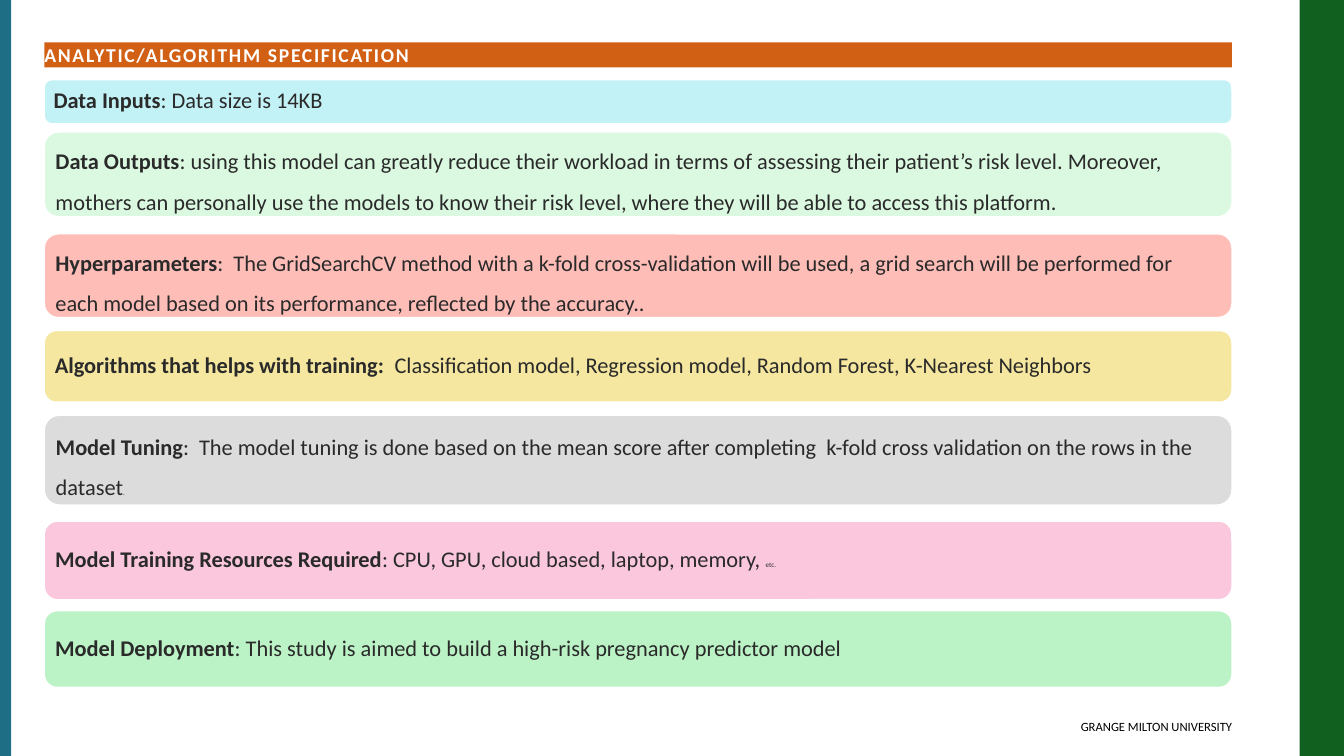
from pptx import Presentation
from pptx.dml.color import RGBColor
from pptx.enum.shapes import MSO_SHAPE
from pptx.enum.text import MSO_ANCHOR, MSO_AUTO_SIZE, PP_ALIGN
from pptx.util import Inches, Pt

RECT, ROUND = MSO_SHAPE.RECTANGLE, MSO_SHAPE.ROUNDED_RECTANGLE
LEFT, RIGHT = PP_ALIGN.LEFT, PP_ALIGN.RIGHT
MIDDLE, TOP = MSO_ANCHOR.MIDDLE, MSO_ANCHOR.TOP
FIXED = MSO_AUTO_SIZE.NONE

WIDE, HIGH = Inches(13.33), Inches(7.5)
EDGE, SPAN = 3.3, 88.37  # content column, percent of slide width
INK, WHITE = "2A2A2A", "FFFFFF"


def paint(color):
    return RGBColor.from_string(color)


def write(para, text, size=16, color=INK, bold=False, track=0):
    run = para.add_run()
    run.text = text
    run.font.name = "Calibri"
    run.font.size = Pt(size)
    run.font.bold = bold
    run.font.color.rgb = paint(color)
    if track:
        run._r.get_or_add_rPr().set("spc", str(track))


class Deck:
    """Places elements by percent of the slide's width and height."""

    def __init__(self):
        self.show = Presentation()
        self.show.slide_width, self.show.slide_height = WIDE, HIGH
        self.slide = self.show.slides.add_slide(self.show.slide_layouts[5])

    def place(self, x, y, w, h):
        return [int(n * full / 100) for n, full in
                ((x, WIDE), (y, HIGH), (w, WIDE), (h, HIGH))]

    def frame(self, shape, inset=0, anchor=TOP, align=LEFT, lines=1.0):
        box = shape.text_frame
        box.word_wrap = True
        box.auto_size = FIXED
        box.vertical_anchor = anchor
        box.margin_left = box.margin_right = Inches(inset)
        box.margin_top = box.margin_bottom = Inches(inset)
        para = box.paragraphs[0]
        para.alignment = align
        para.line_spacing = lines
        return para

    def block(self, kind, spot, fill, line=None):
        shape = self.slide.shapes.add_shape(kind, *self.place(*spot))
        shape.shadow.inherit = False
        shape.fill.solid()
        shape.fill.fore_color.rgb = paint(fill)
        if line:
            shape.line.color.rgb = paint(line)
            shape.line.width = Pt(1)
        else:
            shape.line.fill.background()
        return shape

    def title(self, spot, text, fill):
        head = self.slide.shapes.title
        head.left, head.top, head.width, head.height = self.place(*spot)
        head.fill.solid()
        head.fill.fore_color.rgb = paint(fill)
        write(self.frame(head, anchor=MIDDLE), text, size=14, color=WHITE,
              bold=True, track=120)

    def card(self, y, h, fill, lines, label, text, tail=""):
        shape = self.block(ROUND, (EDGE, y, SPAN, h), fill, WHITE)
        para = self.frame(shape, 0.07, MIDDLE, lines=lines)
        write(para, label, bold=True)
        write(para, text)
        if tail:
            write(para, tail, size=5)

    def note(self, spot, text):
        box = self.slide.shapes.add_textbox(*self.place(*spot))
        write(self.frame(box, align=RIGHT), text, size=9, color="000000")


# Card rows: top, height, fill, line spacing, label, text, small ending
CARDS = [
    (10.53, 5.87, "C3F2F6", 0.9, "Data Inputs", ": Data size is 14KB"),
    (17.47, 11.2, "DBF9E1", 1.5, "Data Outputs",
     ": using this model can greatly reduce their workload in terms of "
     "assessing their patient’s risk level. Moreover, mothers can personally "
     "use the models to know their risk level, where they will be able to "
     "access this platform."),
    (30.93, 11.07, "FFBDB8", 1.5, "Hyperparameters",
     ":  The GridSearchCV method with a k-fold cross-validation will be used, "
     "a grid search will be performed for each model based on its "
     "performance, reflected by the accuracy.."),
    (43.73, 9.47, "F5E79F", 0.9, "Algorithms that helps with training:  ",
     "Classification model, Regression model, Random Forest, "
     "K-Nearest Neighbors"),
    (54.93, 11.87, "DCDCDC", 1.5, "Model Tuning",
     ":  The model tuning is done based on the mean score after completing  "
     "k-fold cross validation on the rows in the dataset", "."),
    (68.93, 10.4, "FAC7DD", 0.9, "Model Training Resources Required",
     ": CPU, GPU, cloud based, laptop, memory, ", "etc."),
    (80.8, 10.13, "BCF3C6", 0.9, "Model Deployment",
     ": This study is aimed to build a high-risk pregnancy predictor model"),
]


def main():
    deck = Deck()

    # Side bands and footer
    deck.block(RECT, (96.7, 0, 3.3, 100), "116020")
    deck.block(RECT, (0, 0, 0.83, 100), "1E6E86")
    deck.note((51.61, 95.07, 40.06, 1.87), "GRANGE MILTON UNIVERSITY")

    # Heading and cards
    deck.title((EDGE, 5.6, SPAN, 3.33), "ANALYTIC/ALGORITHM SPECIFICATION",
               "D16014")
    for card in CARDS:
        deck.card(*card)

    deck.show.save("out.pptx")


if __name__ == "__main__":
    main()
